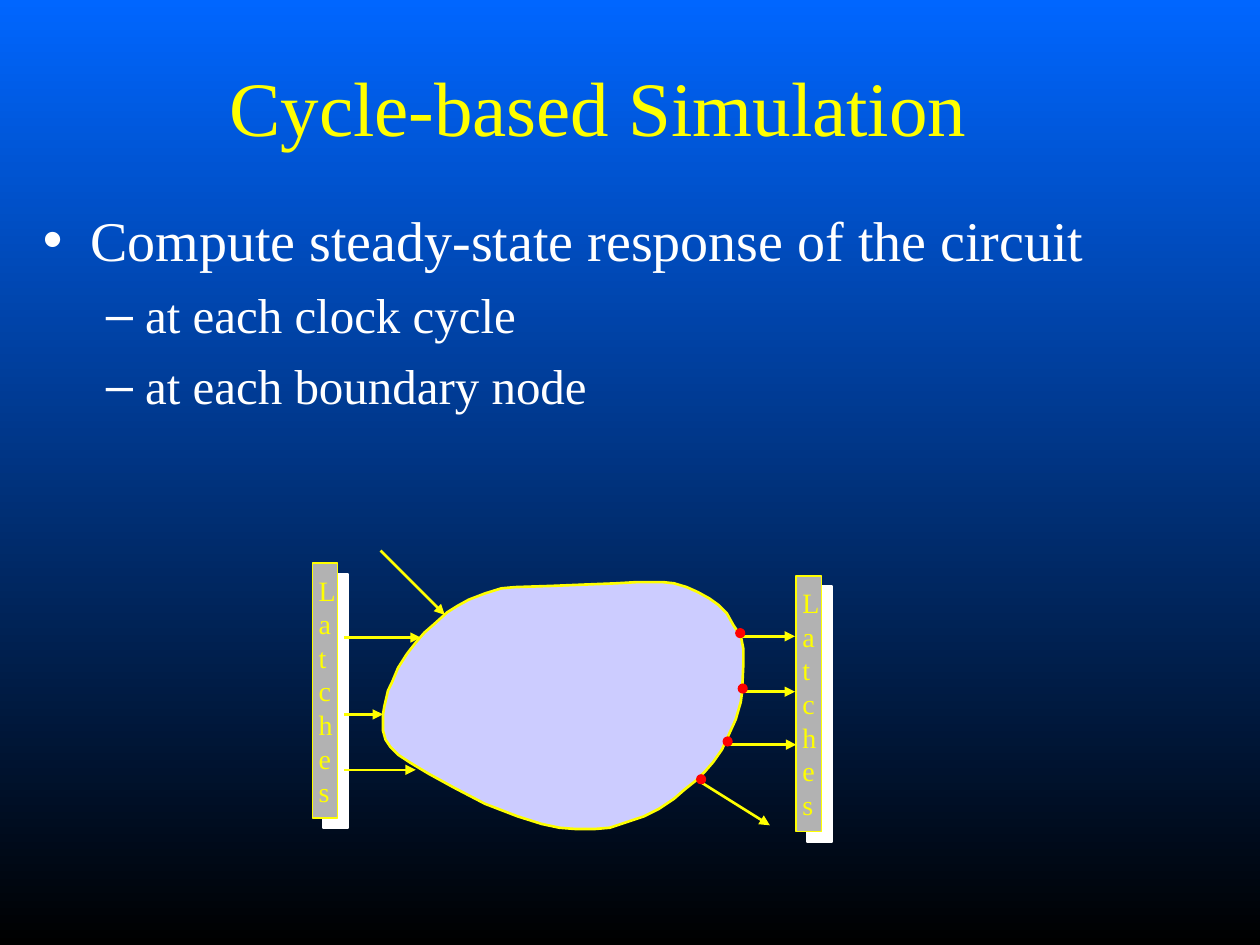
from lxml import etree
from pptx import Presentation
from pptx.dml.color import RGBColor
from pptx.enum.shapes import MSO_CONNECTOR as Connector, MSO_SHAPE as Preset
from pptx.enum.text import MSO_ANCHOR as Anchor, MSO_AUTO_SIZE as AutoSize
from pptx.oxml.ns import qn
from pptx.util import Inches, Pt

FONT = "Times New Roman"
YELLOW, WHITE, RED = "FFFF00", "FFFFFF", "FF0000"
LATCH_GRAY, CLOUD_LILAC = "B2B2B2", "CCCCFF"

BULLETS = [
    ("Compute steady-state response of the circuit", 0, 32, 0),
    ("at each clock cycle", 1, 28, 7),
    ("at each boundary node", 1, 28, 7),
]
CLOUD_OUTLINE = [
    (2.22, 0), (2.02, 0), (1.85, 0.01), (1.6, 0.02), (1.35, 0.03), (1.05, 0.04),
    (0.94, 0.05), (0.81, 0.09), (0.68, 0.14), (0.59, 0.19), (0.51, 0.24),
    (0.41, 0.33), (0.33, 0.4), (0.26, 0.48), (0.19, 0.57), (0.12, 0.68),
    (0.07, 0.8), (0.04, 0.86), (0.01, 0.99), (0, 1.05), (0, 1.18), (0.02, 1.25),
    (0.06, 1.31), (0.12, 1.37), (0.21, 1.43), (0.36, 1.52), (0.56, 1.63),
    (0.81, 1.76), (1.07, 1.86), (1.26, 1.92), (1.4, 1.95), (1.53, 1.96),
    (1.68, 1.96), (1.8, 1.95), (1.92, 1.91), (2.07, 1.86), (2.19, 1.8),
    (2.31, 1.72), (2.39, 1.65), (2.49, 1.57), (2.55, 1.51), (2.62, 1.43),
    (2.69, 1.33), (2.75, 1.2), (2.8, 1.09), (2.84, 0.95), (2.85, 0.87),
    (2.86, 0.65), (2.86, 0.53), (2.84, 0.43), (2.78, 0.34), (2.73, 0.25),
    (2.66, 0.18), (2.59, 0.13), (2.5, 0.08), (2.41, 0.04), (2.31, 0.01),
]
INPUT_ARROWS = [
    (-0.02, -0.25, 0.49, 0.26), (-0.31, 0.44, 0.3, 0.44),
    (-0.31, 1.05, 0, 1.05), (-0.31, 1.49, 0.26, 1.49),
]
OUTPUT_ARROWS = [
    (2.85, 0.43, 3.27, 0.43), (2.84, 0.87, 3.27, 0.87),
    (2.7, 1.29, 3.28, 1.29), (2.51, 1.58, 3.07, 1.93),
]
BOUNDARY_NODES = [(2.8, 0.37), (2.82, 0.81), (2.7, 1.23), (2.49, 1.53)]


def color(hex_value):
    return RGBColor.from_string(hex_value)


def place(shape, box):
    shape.left, shape.top, shape.width, shape.height = map(Inches, box)


def add_run(paragraph, text, size, hex_value):
    run = paragraph.add_run()
    run.text = text
    run.font.name = FONT
    run.font.size = Pt(size)
    run.font.color.rgb = color(hex_value)


def paint(shape, fill, line, width):
    shape.shadow.inherit = False
    shape.fill.solid()
    shape.fill.fore_color.rgb = color(fill)
    shape.line.color.rgb = color(line)
    shape.line.width = Pt(width)


def paint_background(slide):
    fill = slide.background.fill
    fill.gradient()
    fill.gradient_angle = 270
    for stop, hex_value in zip(fill.gradient_stops, ("0066FF", "000000")):
        stop.color.rgb = color(hex_value)


def fill_title(slide, box):
    title = slide.shapes.title
    place(title, box)
    frame = title.text_frame
    frame.auto_size = AutoSize.NONE
    frame.vertical_anchor = Anchor.MIDDLE
    add_run(frame.paragraphs[0], "Cycle-based Simulation", 44, YELLOW)


def fill_body(slide, box):
    body = slide.placeholders[1]
    place(body, box)
    frame = body.text_frame
    frame.auto_size = AutoSize.NONE
    for index, (text, level, size, space) in enumerate(BULLETS):
        paragraph = frame.add_paragraph() if index else frame.paragraphs[0]
        paragraph.level = level
        paragraph.space_before = Pt(space)
        add_run(paragraph, text, size, WHITE)


def add_hard_shadow(shape, hex_value):
    effects = shape.element.spPr.find(qn("a:effectLst"))
    shadow = etree.SubElement(effects, qn("a:outerShdw"), dist=str(Pt(8.5)),
                              dir="2700000", algn="ctr", rotWithShape="0")
    etree.SubElement(shadow, qn("a:srgbClr"), val=hex_value)


def add_latch(slide, box):
    left, top, width, height = box
    latch = slide.shapes.add_shape(Preset.RECTANGLE, *map(Inches, box))
    paint(latch, LATCH_GRAY, YELLOW, 1)
    add_hard_shadow(latch, WHITE)
    label = slide.shapes.add_textbox(Inches(left - 0.05), Inches(top + 0.03),
                                     Inches(width + 0.13), Inches(height - 0.05))
    frame = label.text_frame
    frame.word_wrap = False
    frame.auto_size = AutoSize.SHAPE_TO_FIT_TEXT
    for index, letter in enumerate("Latches"):
        paragraph = frame.add_paragraph() if index else frame.paragraphs[0]
        add_run(paragraph, letter, 16, YELLOW)


def add_arrow(slide, left, top, ends):
    x1, y1, x2, y2 = ends
    arrow = slide.shapes.add_connector(
        Connector.STRAIGHT, Inches(left + x1), Inches(top + y1),
        Inches(left + x2), Inches(top + y2))
    arrow.line.color.rgb = color(YELLOW)
    arrow.line.width = Pt(1.5)
    properties = arrow.element.spPr
    etree.SubElement(properties.find(qn("a:ln")), qn("a:tailEnd"), type="triangle")
    etree.SubElement(properties, qn("a:effectLst"))


def add_circuit(slide, left, top):
    for ends in INPUT_ARROWS + OUTPUT_ARROWS:
        add_arrow(slide, left, top, ends)
    points = [(Inches(left + x), Inches(top + y)) for x, y in CLOUD_OUTLINE]
    builder = slide.shapes.build_freeform(*points[0])
    builder.add_line_segments(points[1:], close=True)
    paint(builder.convert_to_shape(), CLOUD_LILAC, YELLOW, 1.5)
    for x, y in BOUNDARY_NODES:
        node = slide.shapes.add_shape(Preset.OVAL, Inches(left + x), Inches(top + y),
                                      Inches(0.07), Inches(0.07))
        paint(node, RED, RED, 0.75)


def main():
    presentation = Presentation()
    presentation.slide_width = Inches(10)
    presentation.slide_height = Inches(7.5)
    slide = presentation.slides.add_slide(presentation.slide_layouts[1])
    paint_background(slide)
    fill_title(slide, (0.24, 0.25, 9.02, 1.17))
    fill_body(slide, (0.24, 1.58, 9.02, 1.81))
    add_latch(slide, (2.48, 4.47, 0.2, 2.02))
    add_latch(slide, (6.32, 4.57, 0.2, 2.03))
    add_circuit(slide, 3.04, 4.62)
    presentation.save("out.pptx")


if __name__ == "__main__":
    main()
